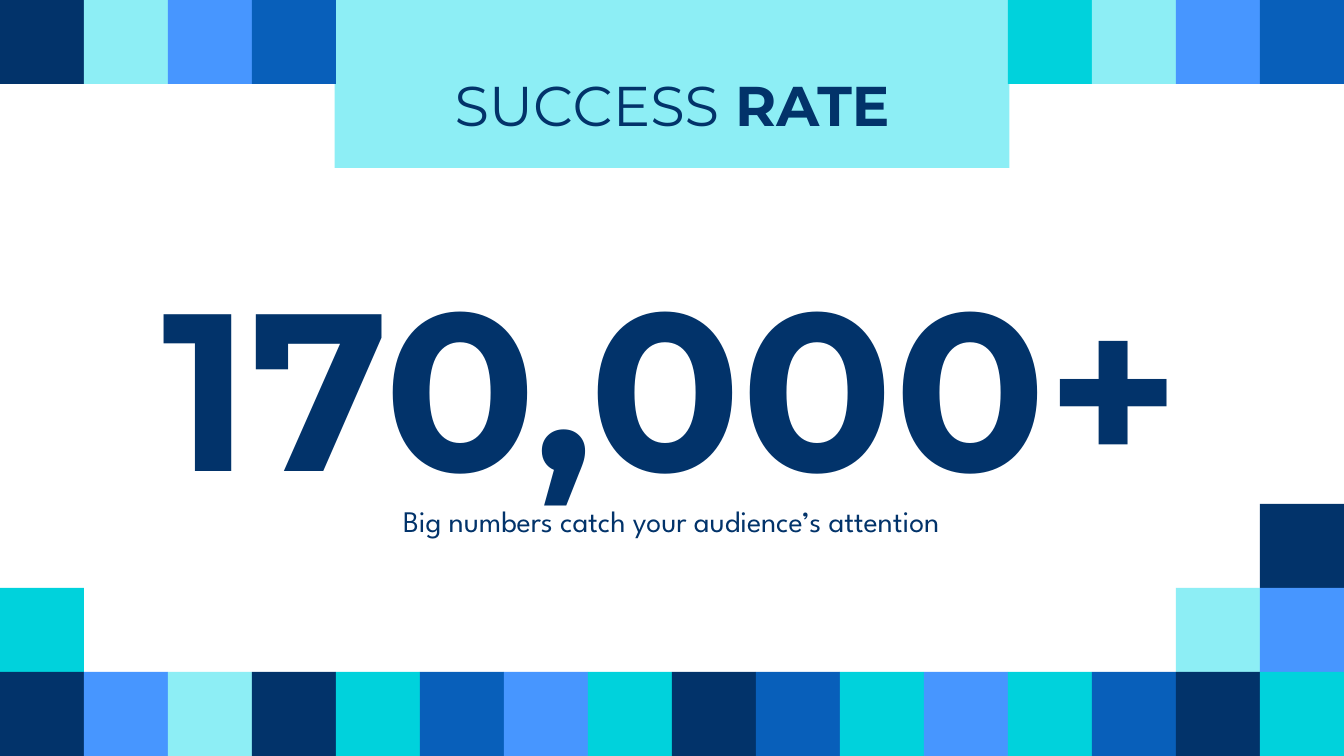
from pptx import Presentation
from pptx.dml.color import RGBColor
from pptx.enum import shapes, text
from pptx.util import Inches, Pt

NAVY, BLUE, SKY, AQUA, TEAL = "02336A", "085FBA", "4796FF", "8DEEF5", "00D2DC"
SIDE = 10 / 16


def paint(fill, colour):
    fill.solid()
    fill.fore_color.rgb = RGBColor.from_string(colour)


def write(box, runs, size, font, anchor, insets):
    frame = box.text_frame
    frame.word_wrap = True
    frame.auto_size = text.MSO_AUTO_SIZE.NONE
    frame.vertical_anchor = anchor
    frame.margin_left = frame.margin_right = Inches(0.1)
    frame.margin_top, frame.margin_bottom = map(Inches, insets)
    paragraph = frame.paragraphs[0]
    paragraph.alignment = text.PP_ALIGN.CENTER
    for words, bold in runs:
        run = paragraph.add_run()
        run.text = words
        run.font.size = Pt(size)
        run.font.name = font
        run.font.bold = bold
        paint(run.font.fill, NAVY)


prs = Presentation()
prs.slide_width = Inches(16 * SIDE)
prs.slide_height = Inches(9 * SIDE)
slide = prs.slides.add_slide(prs.slide_layouts[5])

mosaic = [
    (0, 0, [NAVY, AQUA, SKY, BLUE]),
    (0, 12, [TEAL, AQUA, SKY, BLUE]),
    (6, 15, [NAVY]),
    (7, 0, [TEAL]),
    (7, 14, [AQUA, SKY]),
    (8, 0, [NAVY, SKY, AQUA, NAVY, TEAL, BLUE, SKY, TEAL,
            NAVY, BLUE, TEAL, SKY, TEAL, BLUE, NAVY, TEAL]),
]
for row, first_column, colours in mosaic:
    for column, colour in enumerate(colours, first_column):
        tile = slide.shapes.add_shape(
            shapes.MSO_SHAPE.RECTANGLE, Inches(column * SIDE), Inches(row * SIDE),
            Inches(SIDE), Inches(SIDE))
        tile.shadow.inherit = False
        paint(tile.fill, colour)
        tile.line.fill.background()

heading = slide.shapes.title
heading.left, heading.top = Inches(2.49), Inches(0)
heading.width, heading.height = Inches(5.02), Inches(1.25)
paint(heading.fill, AQUA)
write(heading, [("SUCCESS", False), (" RATE", True)], 30, "Montserrat",
      text.MSO_ANCHOR.MIDDLE, (0.3, 0))

big_number = slide.shapes.add_textbox(Inches(0.78), Inches(2.09), Inches(8.44), Inches(1.85))
write(big_number, [("170,000+", True)], 120, "Montserrat",
      text.MSO_ANCHOR.BOTTOM, (0.1, 0.1))

caption = slide.shapes.add_textbox(Inches(1.87), Inches(3.64), Inches(6.25), Inches(0.4))
write(caption, [("Big numbers catch your audience’s attention", False)], 16,
      "League Spartan", text.MSO_ANCHOR.TOP, (0.1, 0.1))

prs.save("out.pptx")
